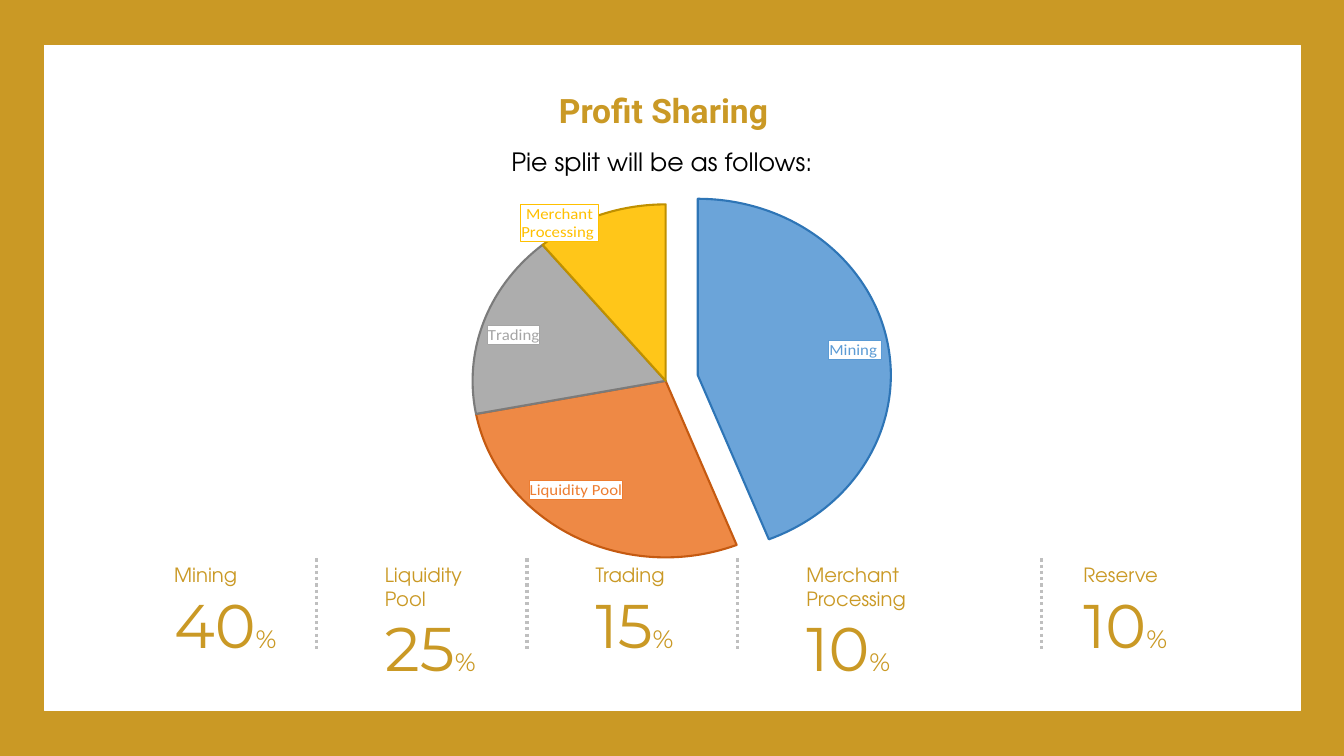
from dataclasses import dataclass

from lxml import etree
from pptx import Presentation
from pptx.chart.data import CategoryChartData
from pptx.dml.color import RGBColor
from pptx.enum.chart import XL_CHART_TYPE, XL_LABEL_POSITION
from pptx.enum.dml import MSO_LINE
from pptx.enum.shapes import MSO_CONNECTOR, MSO_SHAPE
from pptx.enum.text import PP_ALIGN
from pptx.oxml import parse_xml
from pptx.oxml.ns import nsdecls, qn
from pptx.util import Cm, Pt

PIE = XL_CHART_TYPE.PIE
BEST = XL_LABEL_POSITION.BEST_FIT
DOTS = MSO_LINE.ROUND_DOT
LINE = MSO_CONNECTOR.STRAIGHT
RECT = MSO_SHAPE.RECTANGLE
LEFT = PP_ALIGN.LEFT
CENTER = PP_ALIGN.CENTER

GOLD = RGBColor(0xCA, 0x99, 0x25)
WHITE = RGBColor(0xFF, 0xFF, 0xFF)
BLACK = RGBColor(0, 0, 0)
SILVER = RGBColor(0xBF, 0xBF, 0xBF)
BLUE = RGBColor(0x5B, 0x9B, 0xD5)
NAVY = RGBColor(0x2E, 0x75, 0xB6)
ORANGE = RGBColor(0xED, 0x7D, 0x31)
RUST = RGBColor(0xC5, 0x5A, 0x11)
GRAY = RGBColor(0xA5, 0xA5, 0xA5)
STONE = RGBColor(0x7B, 0x7B, 0x7B)
YELLOW = RGBColor(0xFF, 0xC0, 0x00)
OLIVE = RGBColor(0xBF, 0x90, 0x00)

GEOMETRIC = "TeX Gyre Adventor"
ROW = 14.07


@dataclass
class Slice:
    name: str
    value: int
    fill: RGBColor
    edge: RGBColor


@dataclass
class Share:
    name: str
    value: int
    left: float
    width: float
    rule: float | None = None


SLICES = [
    Slice("Mining ", 44, BLUE, NAVY),
    Slice("Liquidity Pool", 28, ORANGE, RUST),
    Slice("Trading", 17, GRAY, STONE),
    Slice("Merchant Processing ", 11, YELLOW, OLIVE),
]
SHARES = [
    Share("Mining", 40, 4.14, 3.2, 7.98),
    Share("Liquidity Pool", 25, 9.45, 3.56, 13.28),
    Share("Trading", 15, 14.76, 2.54, 18.59),
    Share("Merchant Processing", 10, 20.07, 5.2, 26.24),
    Share("Reserve", 10, 27.05, 2.67),
]


def write(para, text: str, *, size: float, font: str, color: RGBColor,
          bold: bool = False, align=LEFT) -> None:
    para.alignment = align
    run = para.add_run()
    run.text = text
    run.font.size = Pt(size)
    run.font.name = font
    run.font.bold = bold
    run.font.color.rgb = color


def add_box(slide, left: float, top: float, width: float, height: float):
    box = slide.shapes.add_textbox(Cm(left), Cm(top), Cm(width), Cm(height))
    box.text_frame.word_wrap = True
    return box.text_frame


def add_panel(slide) -> None:
    panel = slide.shapes.add_shape(RECT, Cm(1.12), Cm(1.14), Cm(31.65), Cm(16.76))
    panel.shadow.inherit = False
    panel.fill.solid()
    panel.fill.fore_color.rgb = WHITE
    panel.line.color.rgb = WHITE
    panel.line.width = Pt(1)


def add_rule(slide, left: float) -> None:
    rule = slide.shapes.add_connector(LINE, Cm(left), Cm(ROW), Cm(left), Cm(ROW + 2.31))
    rule.line.color.rgb = SILVER
    rule.line.width = Pt(2.25)
    rule.line.dash_style = DOTS
    etree.SubElement(rule._element.spPr, qn("a:effectLst"))


def add_share(slide, share: Share) -> None:
    frame = add_box(slide, share.left, ROW, share.width, 2.74)
    write(frame.paragraphs[0], share.name, size=14, font=GEOMETRIC, color=GOLD)
    para = frame.add_paragraph()
    write(para, str(share.value), size=44, font="Montserrat", color=GOLD)
    write(para, "%", size=18, font="Montserrat", color=GOLD)
    if share.rule is not None:
        add_rule(slide, share.rule)


def style_slice(point, part: Slice) -> None:
    fill = point.format.fill
    fill.solid()
    fill.fore_color.rgb = part.fill
    tint = fill._xPr.find(".//" + qn("a:srgbClr"))
    etree.SubElement(tint, qn("a:alpha"), val="90000")
    point.format.line.color.rgb = part.edge
    point.format.line.width = Pt(1.5)
    label = point.data_label
    label.font.size = Pt(12)
    label.font.name = "Calibri"
    label.font.color.rgb = part.fill
    label.position = BEST
    node = label._dLbl
    for tag, shown in (("c:showCatName", "1"), ("c:showVal", "0"), ("c:showPercent", "0")):
        node.find(qn(tag)).set("val", shown)
    node.find(qn("c:txPr")).addprevious(parse_xml(
        f'<c:spPr {nsdecls("c", "a")}>'
        '<a:solidFill><a:srgbClr val="FFFFFF"/></a:solidFill>'
        f'<a:ln w="9525"><a:solidFill><a:srgbClr val="{part.fill}"/></a:solidFill></a:ln>'
        '</c:spPr>'))


def add_pie(slide) -> None:
    data = CategoryChartData()
    data.categories = [part.name for part in SLICES]
    data.add_series("Series 1", [part.value for part in SLICES])
    chart = slide.shapes.add_chart(PIE, Cm(9.47), Cm(4.34), Cm(14.61), Cm(9.73), data).chart
    chart.has_legend = False
    chart.has_title = False
    chart.font.name = "Calibri"
    chart.font.size = Pt(10)
    chart.font.color.rgb = BLACK
    plot = chart.plots[0]
    plot.vary_by_categories = True
    for index, part in enumerate(SLICES):
        style_slice(plot.series[0].points[index], part)
    burst = etree.Element(qn("c:explosion"), val="17")
    plot.series[0].points[0].format.fill._xPr.addprevious(burst)
    area = chart._chartSpace.chart.plotArea
    for old in area.findall(qn("c:layout")):
        area.remove(old)
    area.insert(0, parse_xml(
        f'<c:layout {nsdecls("c")}><c:manualLayout><c:layoutTarget val="inner"/>'
        '<c:xMode val="edge"/><c:yMode val="edge"/><c:x val="0"/><c:y val="0"/>'
        '<c:w val="1"/><c:h val="1"/></c:manualLayout></c:layout>'))


def main() -> None:
    deck = Presentation()
    deck.slide_width, deck.slide_height = Cm(33.87), Cm(19.05)
    slide = deck.slides.add_slide(deck.slide_layouts[6])
    slide.background.fill.solid()
    slide.background.fill.fore_color.rgb = GOLD
    add_panel(slide)
    lead = add_box(slide, 9.86, 3.56, 13.64, 1.02)
    write(lead.paragraphs[0], "Pie split will be as follows:",
          size=18, font=GEOMETRIC, color=BLACK, align=CENTER)
    title = add_box(slide, 1.19, 2.13, 31.06, 1.27)
    write(title.paragraphs[0], "Profit Sharing",
          size=24, font="Roboto", color=GOLD, bold=True, align=CENTER)
    add_pie(slide)
    for share in SHARES:
        add_share(slide, share)
    deck.save("out.pptx")


if __name__ == "__main__":
    main()
